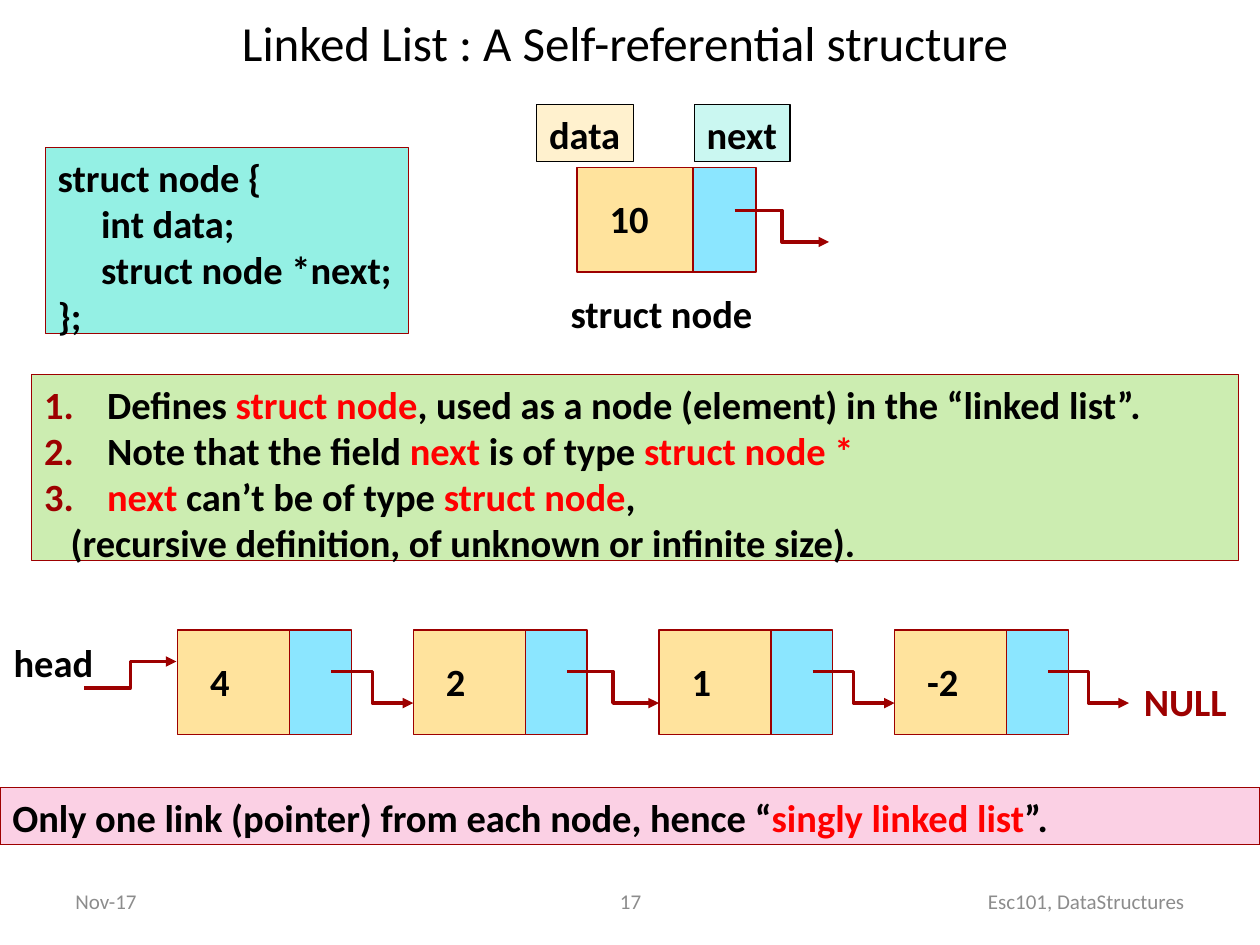
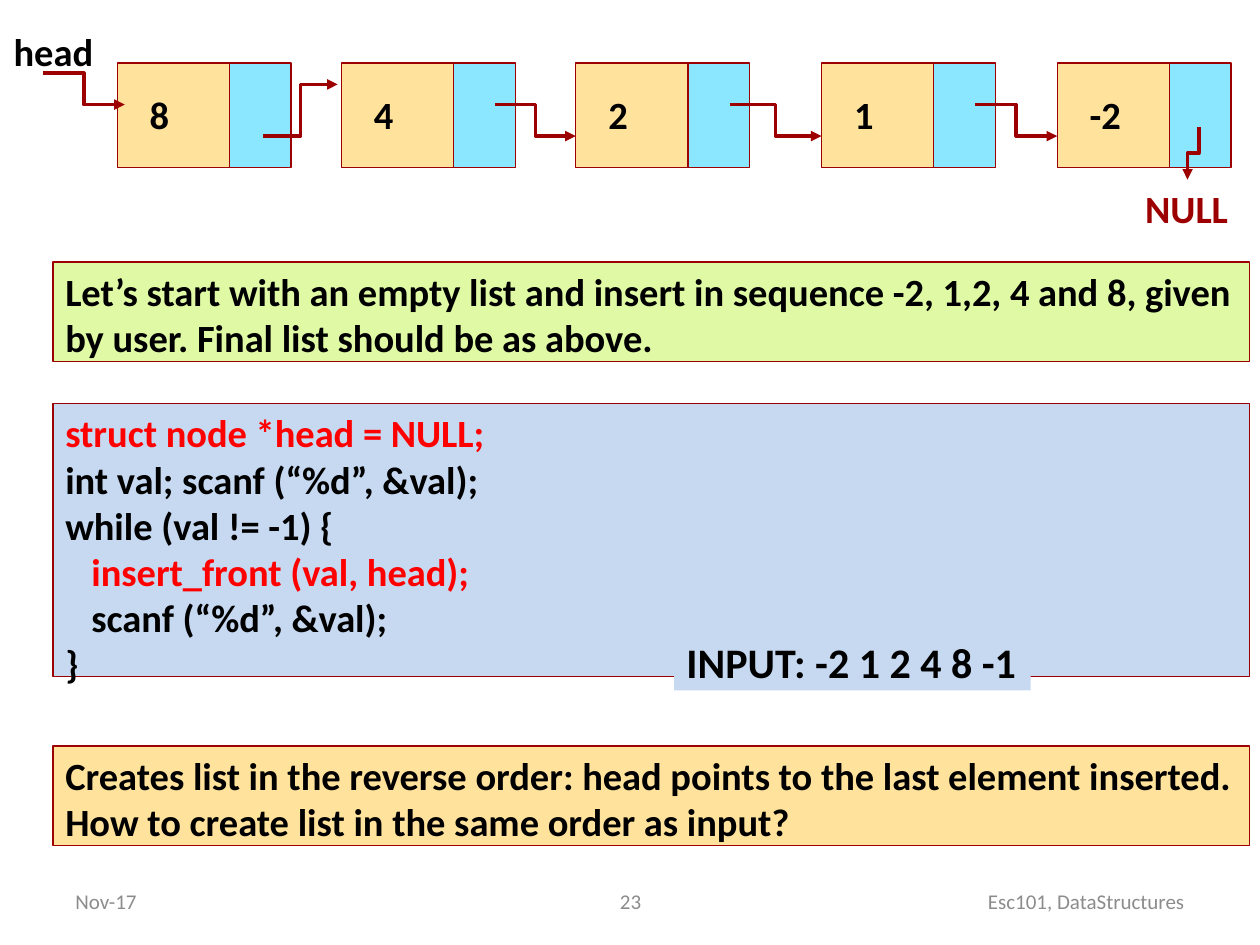
from dataclasses import dataclass
from itertools import pairwise

from lxml.etree import SubElement
from pptx import Presentation
from pptx.dml.color import RGBColor
from pptx.enum.shapes import MSO_CONNECTOR, MSO_SHAPE
from pptx.enum.text import MSO_ANCHOR as ANCHOR, MSO_AUTO_SIZE as AUTO_SIZE, PP_ALIGN as ALIGN
from pptx.oxml.ns import qn
from pptx.util import Inches, Pt


@dataclass(frozen=True)
class Theme:
    font: str = "Calibri"
    title_size: float = 28
    input_size: float = 24
    text_size: float = 22
    footer_size: float = 12
    black: str = "000000"
    red: str = "FF0000"
    maroon: str = "9D0000"
    grey: str = "8C8C8C"
    amber: str = "FFE39D"
    cream: str = "FFF1CE"
    sky: str = "8BE6FF"
    aqua: str = "CAF7F1"
    turquoise: str = "94F0E4"
    green: str = "CCEDB1"
    lime: str = "DFF9A5"
    pink: str = "FBD0E4"
    blue: str = "C6D9F1"
    edge_width: float = 0.75
    link_width: float = 2


theme = Theme()
rgb = RGBColor.from_string


def write(slide, place, lines, shape=None, fill=None, edge=None, color=theme.black,
          size=theme.text_size, bold=True, wrap=True, anchor=ANCHOR.TOP, align=ALIGN.LEFT):
    """Put lines in a new text box or a given shape; parts between bars are red."""
    shape = shape or slide.shapes.add_textbox(0, 0, 0, 0)
    for side, length in zip(("left", "top", "width", "height"), place):
        setattr(shape, side, Inches(length))
    if fill:
        shape.fill.solid()
        shape.fill.fore_color.rgb = rgb(fill)
    if edge:
        shape.line.color.rgb = rgb(edge)
        shape.line.width = Pt(theme.edge_width)
    frame = shape.text_frame
    frame_format = {"word_wrap": wrap, "auto_size": AUTO_SIZE.NONE, "vertical_anchor": anchor}
    for name, value in frame_format.items():
        setattr(frame, name, value)
    for number, line in enumerate(lines):
        paragraph = frame.add_paragraph() if number else frame.paragraphs[0]
        paragraph.alignment = align
        paragraph.space_before = Pt(0)
        for position, part in enumerate(line.split("|")):
            if not part:
                continue
            run = paragraph.add_run()
            run.text = part
            for name, value in {"name": theme.font, "size": Pt(size), "bold": bold}.items():
                setattr(run.font, name, value)
            run.font.color.rgb = rgb(theme.red if position % 2 else color)
    return frame


def draw_link(slide, start, end, rotation=0):
    """Draw an elbow arrow, turned clockwise by rotation degrees."""
    link = slide.shapes.add_connector(
        MSO_CONNECTOR.ELBOW, *(Inches(length) for length in (*start, *end)))
    link.line.color.rgb = rgb(theme.maroon)
    link.line.width = Pt(theme.link_width)
    properties = link._element.spPr
    SubElement(link.line._get_or_add_ln(), qn("a:tailEnd"), type="triangle")
    SubElement(properties, qn("a:effectLst"))
    if rotation:
        properties.find(qn("a:xfrm")).set("rot", str(rotation * 60000))


deck = Presentation()
deck.slide_width, deck.slide_height = Inches(10), Inches(7.5)
structure = deck.slides.add_slide(deck.slide_layouts[1])
insertion = deck.slides.add_slide(deck.slide_layouts[6])

# Title and numbered notes
write(structure, (0.67, 0, 8.58, 0.67), ["Linked List : A Self-referential structure"],
      shape=structure.shapes.title, size=theme.title_size, bold=False,
      anchor=ANCHOR.MIDDLE, align=ALIGN.CENTER)
notes = write(structure, (0.25, 2.97, 9.58, 1.48), [
    "Defines |struct node|, used as a node (element) in the “linked list”.",
    "Note that the field |next| is of type |struct node *",
    "|next |can’t be of type |struct node|,",
    "(recursive definition, of unknown or infinite size).",
], shape=structure.placeholders[1], fill=theme.green, edge=theme.maroon)
*numbered, remark = [paragraph._p.get_or_add_pPr() for paragraph in notes.paragraphs]
for properties in numbered:
    properties.set("marL", str(Inches(0.5)))
    properties.set("indent", str(Inches(-0.5)))
    bullet_color = SubElement(properties, qn("a:buClr"))
    SubElement(bullet_color, qn("a:srgbClr"), val=theme.maroon)
    SubElement(properties, qn("a:buFont"), typeface="+mj-lt")
    SubElement(properties, qn("a:buAutoNum"), type="arabicPeriod")
remark.set("marL", str(Inches(0.21)))
remark.set("indent", "0")
SubElement(remark, qn("a:buNone"))

# Code and statements
panels = [
    (structure, (0.36, 1.17, 2.88, 1.48), theme.turquoise,
     ["struct node {", "     int data;", "     struct node *next;", "};"]),
    (structure, (0, 6.25, 10, 0.45), theme.pink,
     ["Only one link (pointer) from each node, hence “|singly linked list|”."]),
    (insertion, (0.42, 2.08, 9.5, 0.79), theme.lime,
     ["Let’s start with an empty list and insert in sequence -2, 1,2, 4 and 8, given "
      "by user. Final list should be as above."]),
    (insertion, (0.42, 3.2, 9.5, 2.17), theme.blue,
     ["|struct node *head = NULL;", "int val; scanf (“%d”, &val);", "while (val != -1) {",
      "   |insert_front (val, head);", "   scanf (“%d”, &val);", "}"]),
    (insertion, (0.42, 5.92, 9.5, 0.79), theme.amber,
     ["Creates list in the reverse order: head points to the last element inserted.",
      "How to create list in the same order as input?"]),
]
for slide, place, fill, lines in panels:
    write(slide, place, lines, fill=fill, edge=theme.maroon)
write(insertion, (5.35, 5, 2.83, 0.48), ["INPUT: -2 1 2 4 8 -1"],
      fill=theme.blue, size=theme.input_size, wrap=False)

# Nodes: left edge and value of each, with the widths of the data and next cells
chains = [
    (structure, 1.33, (0.92, 0.5), {4.58: "10"}),
    (structure, 5, (0.89, 0.49), {1.41: "4", 3.28: "2", 5.23: "1", 7.1: "-2"}),
    (insertion, 0.5, (0.89, 0.49), {0.93: "8", 2.71: "4", 4.57: "2", 6.52: "1", 8.39: "-2"}),
]
for slide, top, (data_width, next_width), nodes in chains:
    for left, value in nodes.items():
        cells = [(left, data_width, theme.amber), (left + data_width, next_width, theme.sky)]
        for cell_left, width, fill in cells:
            cell = slide.shapes.add_shape(MSO_SHAPE.RECTANGLE, Inches(cell_left), Inches(top),
                                          Inches(width), Inches(0.83))
            cell.shadow.inherit = False
            cell.fill.solid()
            cell.fill.fore_color.rgb = rgb(fill)
            cell.line.color.rgb = rgb(theme.maroon)
            cell.line.width = Pt(theme.edge_width)
        write(slide, (left + 0.16, top + 0.17, 0.7, 0.45), [value])

# Links from each node to the next
chain_links = [(structure, 5, [1.41, 3.28, 5.23, 7.1, 8.96]),
               (insertion, 0.5, [2.71, 4.57, 6.52, 8.39])]
for slide, top, lefts in chain_links:
    for left, next_left in pairwise(lefts):
        draw_link(slide, (left + 1.22, top + 0.33), (next_left, top + 0.58))
draw_link(structure, (5.83, 1.67), (6.58, 1.92))
draw_link(structure, (0.67, 5.46), (1.4, 5.25))
draw_link(insertion, (0.34, 0.58), (0.99, 0.83))
draw_link(insertion, (2.09, 1.08), (2.68, 0.67))
draw_link(insertion, (9.26, 1.17), (9.68, 1.26), rotation=90)

# Node labels
labels = [
    (structure, (4.26, 0.83, 0.77, 0.45), "data", {"fill": theme.cream, "edge": theme.black}),
    (structure, (5.51, 0.83, 0.76, 0.45), "next", {"fill": theme.aqua, "edge": theme.black}),
    (structure, (4.43, 2.25, 1.73, 0.45), "struct node", {}),
    (structure, (0.01, 5.02, 0.84, 0.45), "head", {}),
    (structure, (8.98, 5.33, 0.86, 0.45), "NULL", {"color": theme.maroon}),
    (insertion, (0.01, 0.17, 0.84, 0.45), "head", {}),
    (insertion, (8.99, 1.42, 0.86, 0.45), "NULL", {"color": theme.maroon}),
]
for slide, place, text, look in labels:
    write(slide, place, [text], wrap=False, **look)

# Footers
for slide, page in ((structure, "17"), (insertion, "23")):
    for left, width, text, align in ((0.5, 2.33, "Nov-17", ALIGN.LEFT),
                                     (3.42, 3.17, page, ALIGN.CENTER),
                                     (7.17, 2.33, "Esc101, DataStructures", ALIGN.RIGHT)):
        write(slide, (left, 6.95, width, 0.4), [text], color=theme.grey,
              size=theme.footer_size, bold=False, anchor=ANCHOR.MIDDLE, align=align)

deck.save("out.pptx")
